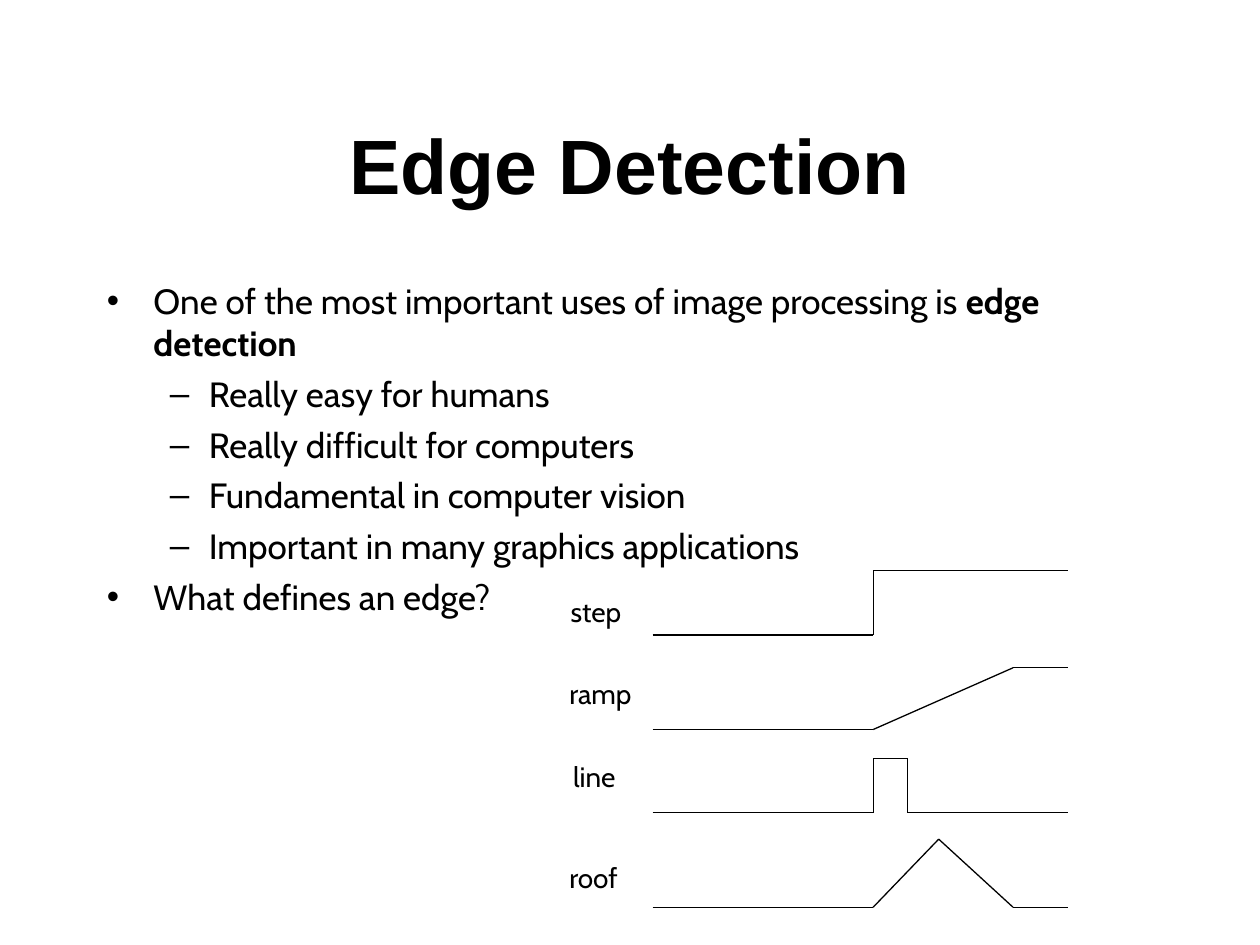
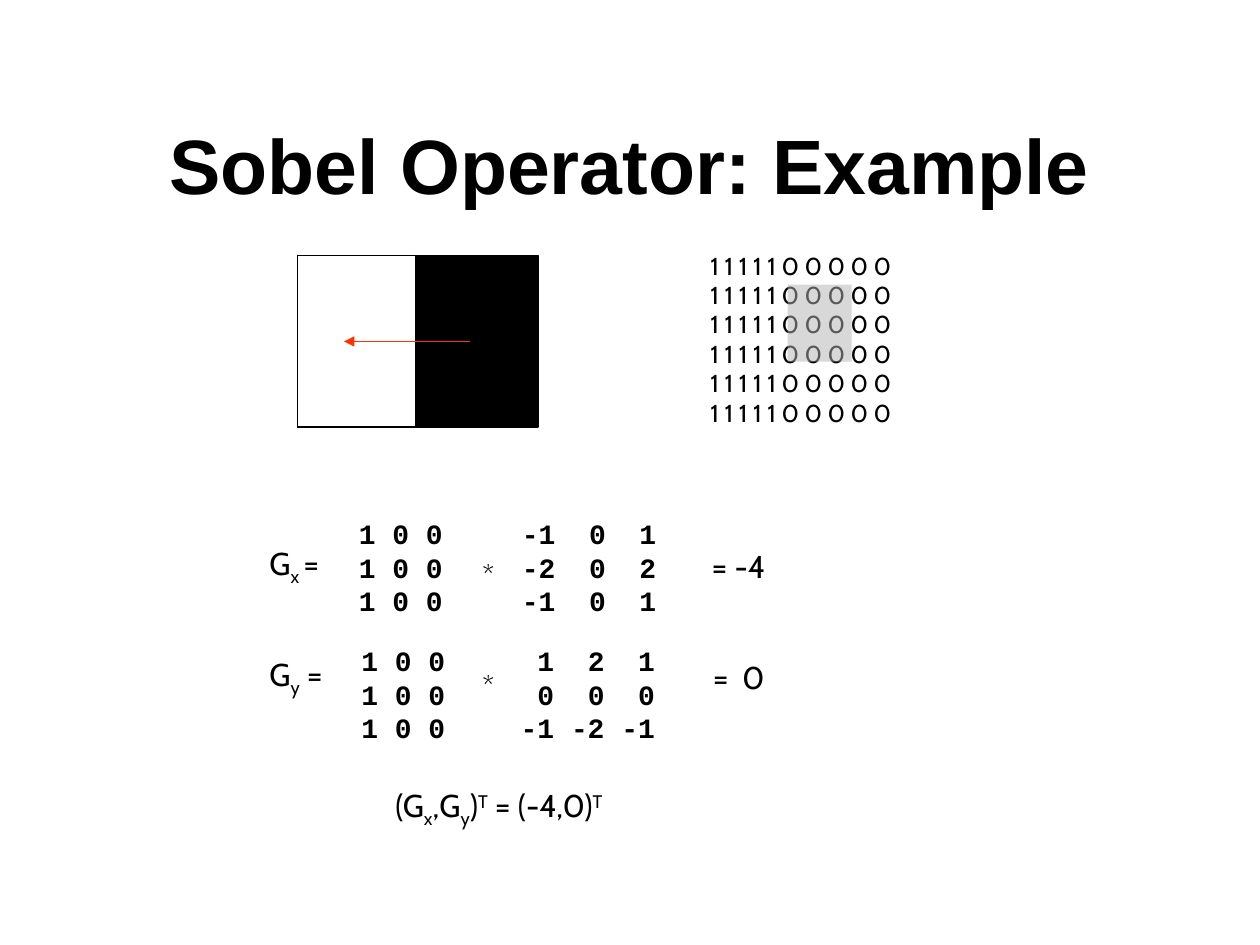
from itertools import pairwise

from lxml import etree
from pptx import Presentation
from pptx.dml.color import RGBColor
from pptx.enum.shapes import MSO_CONNECTOR, MSO_SHAPE
from pptx.enum.text import MSO_ANCHOR, MSO_AUTO_SIZE, PP_ALIGN
from pptx.oxml.ns import qn
from pptx.util import Inches, Pt

STRAIGHT = MSO_CONNECTOR.STRAIGHT
RECT = MSO_SHAPE.RECTANGLE
MIDDLE = MSO_ANCHOR.MIDDLE
FIT = MSO_AUTO_SIZE.SHAPE_TO_FIT_TEXT
CENTER = PP_ALIGN.CENTER
BLACK, WHITE, GRAY, RED = "000000", "FFFFFF", "B2B2B2", "FF3300"
HEAD, BODY, MONO = "Arial", "Cabin", "Courier New"
SUB, SUP = -25, 30
LEVELS = [("•", 0.37, -0.37), ("–", 0.81, -0.31)]


def rgb(code):
    """Turn a hex string into a colour."""
    return RGBColor.from_string(code)


def child(node, tag, **attrs):
    """Append a drawing element to a node."""
    return etree.SubElement(node, qn(f"a:{tag}"), attrs)


class Deck:
    """Hold the shared style and the current slide."""

    def __init__(self):
        """Open an empty deck of 10 by 7.5 inches."""
        self.prs = Presentation()
        self.prs.slide_width = Inches(10)
        self.prs.slide_height = Inches(7.5)

    def page(self, title):
        """Start a slide with its title."""
        self.slide = self.prs.slides.add_slide(self.prs.slide_layouts[6])
        frame = self.box(0.75, 0.67, 8.5, 1.25)
        frame.vertical_anchor = MIDDLE
        para = frame.paragraphs[0]
        para.alignment = CENTER
        self.run(para, title, 44, HEAD, True)

    def box(self, left, top, width, height, wrap=True):
        """Add an empty text box and return its frame."""
        shape = self.slide.shapes.add_textbox(
            Inches(left), Inches(top), Inches(width), Inches(height))
        frame = shape.text_frame
        frame.word_wrap = wrap
        return frame

    def run(self, para, text, size, font=BODY, bold=False, shift=0):
        """Add one styled run, raised or lowered by a percentage."""
        run = para.add_run()
        run.text = text
        run.font.size = Pt(size)
        run.font.name = font
        run.font.bold = bold
        run.font.color.rgb = rgb(BLACK)
        if shift:
            run.font._element.set("baseline", str(shift * 1000))

    def lines(self, frame, count):
        """Yield the given number of paragraphs of a frame."""
        yield frame.paragraphs[0]
        for _ in range(count - 1):
            yield frame.add_paragraph()

    def tabs(self, para, stops):
        """Set right tab stops on a paragraph."""
        props = child(para._p.get_or_add_pPr(), "tabLst")
        for stop in stops:
            child(props, "tab", pos=str(Inches(stop)), algn="r")

    def label(self, left, top, width, height, parts, size=18, stops=()):
        """Add a one-line label made of text and shift pairs."""
        frame = self.box(left, top, width, height, False)
        frame.auto_size = FIT
        para = frame.paragraphs[0]
        if stops:
            self.tabs(para, stops)
        for text, shift in parts:
            self.run(para, text, size, shift=shift)

    def block(self, left, top, width, height, rows, size, font=BODY,
              bold=False, stops=(), wrap=True):
        """Add rows of numbers, one paragraph each."""
        frame = self.box(left, top, width, height, wrap)
        frame.auto_size = FIT
        for para, row in zip(self.lines(frame, len(rows)), rows):
            if stops:
                self.tabs(para, stops)
            self.run(para, row, size, font, bold)

    def bullets(self, left, top, width, height, items):
        """Add a bulleted list of levels and runs."""
        frame = self.box(left, top, width, height)
        paras = self.lines(frame, len(items))
        for spot, (para, (level, parts)) in enumerate(zip(paras, items)):
            mark, margin, indent = LEVELS[level]
            props = para._p.get_or_add_pPr()
            props.set("marL", str(Inches(margin)))
            props.set("indent", str(Inches(indent)))
            child(child(props, "buClr"), "srgbClr", val=BLACK)
            child(props, "buFont", typeface=HEAD)
            child(props, "buChar", char=mark)
            para.level = level
            if spot:
                para.space_before = Pt(5)
            for text, bold in parts:
                self.run(para, text, 20, bold=bold)

    def rect(self, left, top, width, height, fill, edge=None, alpha=None):
        """Add a filled rectangle."""
        shape = self.slide.shapes.add_shape(
            RECT, Inches(left), Inches(top), Inches(width), Inches(height))
        shape.shadow.inherit = False
        shape.fill.solid()
        shape.fill.fore_color.rgb = rgb(fill)
        if edge:
            shape.line.color.rgb = rgb(edge)
            shape.line.width = Pt(0.75)
        else:
            shape.line.fill.background()
        if alpha:
            tint = shape._element.spPr.find(qn("a:solidFill"))[0]
            child(tint, "alpha", val=str(alpha * 1000))

    def line(self, start, end, color=BLACK, arrow=False):
        """Draw a thin line, with an arrowhead at its end if asked."""
        link = self.slide.shapes.add_connector(
            STRAIGHT, *(Inches(n) for n in (*start, *end)))
        link.line.color.rgb = rgb(color)
        link.line.width = Pt(0.75)
        if arrow:
            child(link.line._get_or_add_ln(), "tailEnd", type="triangle")
        child(link._element.spPr, "effectLst")


def edges(deck):
    """Build the slide on kinds of edge."""
    deck.page("Edge Detection")
    deck.bullets(0.75, 2.17, 8.5, 4.5, [
        (0, [("One of the most important uses of image processing is ", False),
             ("edge detection", True)]),
        (1, [("Really easy for humans", False)]),
        (1, [("Really difficult for computers", False)]),
        (1, [("Fundamental in computer vision", False)]),
        (1, [("Important in many graphics applications", False)]),
        (0, [("What defines an edge?", False)]),
    ])
    start, turn, slope, stop = 5.18, 6.93, 8.04, 8.48
    kinds = [
        ("step", 4.43, 4.67, 0.65, 5.04, [(turn, 4.53), (stop, 4.53)]),
        ("ramp", 4.42, 5.32, 0.76, 5.79, [(slope, 5.3), (stop, 5.3)]),
        ("line", 4.45, 5.98, 0.57, 6.45,
         [(turn, 6.02), (7.2, 6.02), (7.2, 6.45), (stop, 6.45)]),
        ("roof", 4.42, 6.78, 0.63, 7.2,
         [(7.45, 6.66), (slope, 7.2), (stop, 7.2)]),
    ]
    for name, left, top, width, base, points in kinds:
        deck.label(left, top, width, 0.37, [(name, 0)], 16)
        for pair in pairwise([(start, base), (turn, base), *points]):
            deck.line(*pair)


def sobel(deck):
    """Build the slide with the worked example."""
    deck.page("Sobel Operator: Example")
    deck.rect(2.36, 2.03, 1.91, 1.36, BLACK, BLACK)
    deck.rect(2.36, 2.03, 0.94, 1.36, WHITE, BLACK)
    deck.line((3.73, 2.71), (2.73, 2.71), RED, True)
    deck.block(5.54, 1.94, 1.77, 1.5, ["1 1 1 1 1 0 0 0 0 0"] * 6, 14,
               wrap=False)
    deck.rect(6.25, 2.26, 0.51, 0.61, GRAY, alpha=50)
    sums = [
        (4.05, 4.27, 2.75, 4.04, 5.55, [("G", 0), ("x ", SUB), ("=", 0)],
         [(-1, 0, 1), (-2, 0, 2), (-1, 0, 1)], "= -4"),
        (5.06, 5.15, 2.77, 4.03, 5.56, [("G", 0), ("y", SUB), (" =", 0)],
         [(1, 2, 1), (0, 0, 0), (-1, -2, -1)], "=\t0"),
    ]
    for top, mid, patch, mask, right, name, kernel, total in sums:
        deck.label(2.04, mid, 0.65, 0.44, name)
        deck.block(patch, top, 1.38, 0.9, ["1 0 0"] * 3, 16, MONO, True)
        deck.label(3.73, mid + 0.11, 0.32, 0.37, [("*", 0)], 16)
        rows = ["".join(f"\t{n}" for n in row) for row in kernel]
        deck.block(mask, top, 1.6, 0.9, rows, 16, MONO, True,
                   (0.27, 0.67, 1.07))
        deck.label(right, mid + 0.02, 0.63, 0.4, [(total, 0)], stops=(0.41,))
    deck.label(3.04, 6.19, 1.95, 0.44, [
        ("(G", 0), ("x", SUB), (",G", 0), ("y", SUB), (")", 0), ("T", SUP),
        (" = (-4,0)", 0), ("T", SUP)])


def main():
    """Build and save the deck."""
    deck = Deck()
    edges(deck)
    sobel(deck)
    deck.prs.save("out.pptx")


if __name__ == "__main__":
    main()
